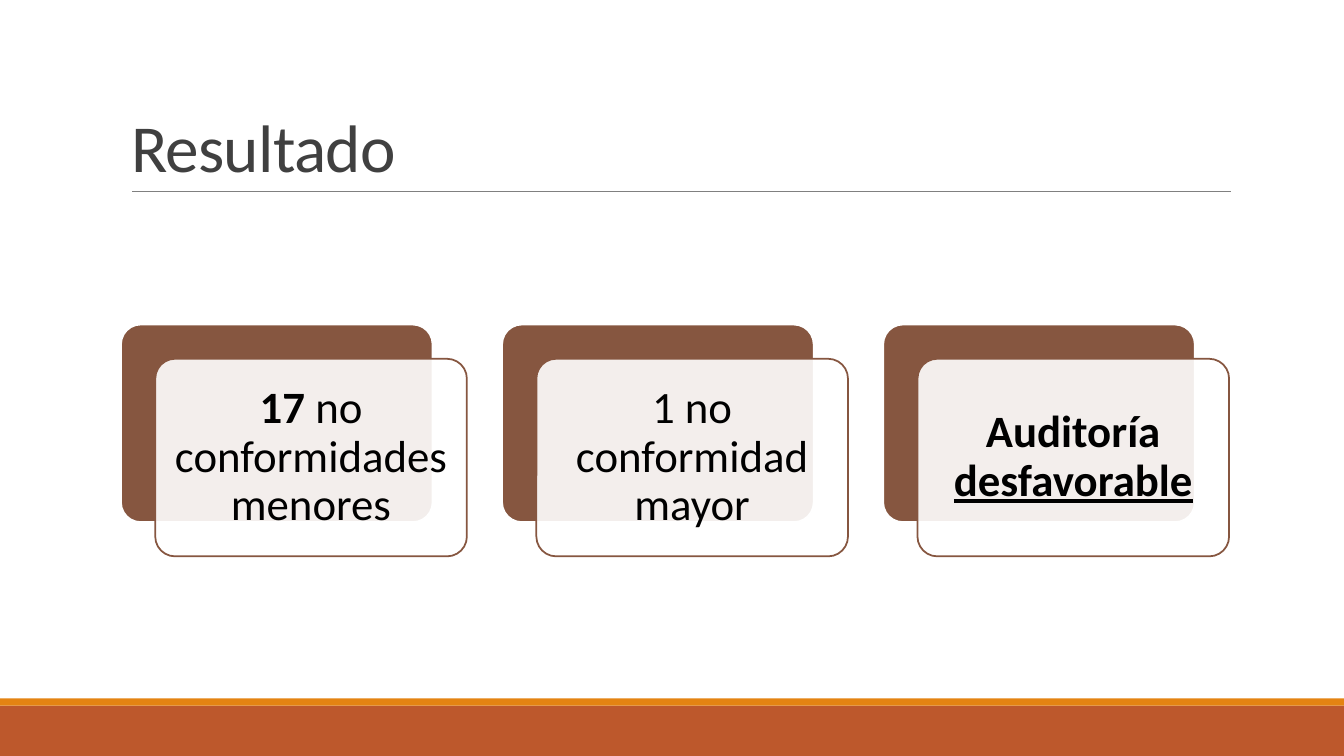
from dataclasses import dataclass
from lxml.etree import SubElement
from pptx import Presentation
from pptx.dml.color import RGBColor
from pptx.enum.shapes import MSO_CONNECTOR, MSO_SHAPE
from pptx.enum.text import MSO_ANCHOR, PP_ALIGN
from pptx.oxml.ns import qn
from pptx.util import Inches, Pt


@dataclass(frozen=True)
class Theme:
    font: str = "Calibri"
    head: int = 48
    body: int = 32
    edge: float = 1.25
    ink: str = "000000"
    gray: str = "404040"
    rule: str = "808080"
    brown: str = "865640"
    white: str = "FFFFFF"
    rust: str = "BD582C"
    gold: str = "E48312"


theme = Theme()
deck = Presentation()
deck.slide_width, deck.slide_height = Inches(13.33), Inches(7.5)
wide, high = deck.slide_width, deck.slide_height
slide = deck.slides.add_slide(deck.slide_layouts[5])


def block(kind, left, top, width, height, fill, line=None):
    shape = slide.shapes.add_shape(kind, left, top, width, height)
    shape.shadow.inherit = False
    shape.fill.solid()
    shape.fill.fore_color.rgb = RGBColor.from_string(fill)
    if line:
        shape.line.color.rgb = RGBColor.from_string(line)
        shape.line.width = Pt(theme.edge)
        shape.adjustments[0] = 0.1
    else:
        shape.line.fill.background()
    return shape


def write(para, text, size, color, bold=False, under=False):
    run = para.add_run()
    run.text = text
    font = run.font
    font.name, font.size = theme.font, Pt(size)
    font.bold, font.underline = bold, under
    font.color.rgb = RGBColor.from_string(color)
    return run


# Footer bands
base = Inches(7)
strip = Inches(0.07)
block(MSO_SHAPE.RECTANGLE, 0, base, wide, high - base, theme.rust)
block(MSO_SHAPE.RECTANGLE, 0, base - strip, wide, strip, theme.gold)

# Title and its rule
floor = Inches(1.9)
rule = slide.shapes.add_connector(
    MSO_CONNECTOR.STRAIGHT, Inches(1.31), floor, Inches(12.21), floor)
rule.line.color.rgb = RGBColor.from_string(theme.rule)
rule.line.width = Pt(0.5)
SubElement(rule._element.spPr, qn("a:effectLst"))

title = slide.shapes.title
title.left, title.top = Inches(1.2), Inches(0.31)
title.width, title.height = Inches(11), floor - title.top
title.text_frame.vertical_anchor = MSO_ANCHOR.BOTTOM
title.text_frame.word_wrap = True
para = title.text_frame.paragraphs[0]
para.alignment = PP_ALIGN.LEFT
para.line_spacing = 0.85
run = write(para, "Resultado", theme.head, theme.gray)
run.font._element.set("spc", "-50")

# Result cards: a brown back with a clear front, shifted down and right
cards = [
    [("17 ", True, False), ("no conformidades menores", False, False)],
    [("1 no conformidad mayor", False, False)],
    [("Auditoría ", True, False), ("desfavorable", True, True)],
]
left, top = Inches(1.2), Inches(3.22)
width, height = Inches(3.09), Inches(1.96)
step, shift = Inches(3.78), Inches(0.34)
for col, runs in enumerate(cards):
    x = left + col * step
    block(MSO_SHAPE.ROUNDED_RECTANGLE, x, top, width, height,
          theme.brown, theme.white)
    front = block(MSO_SHAPE.ROUNDED_RECTANGLE, x + shift, top + shift,
                  width, height, theme.white, theme.brown)
    tint = front.fill._xPr.find(qn("a:solidFill"))[0]
    SubElement(tint, qn("a:alpha"), val="90000")
    frame = front.text_frame
    frame.word_wrap = True
    frame.vertical_anchor = MSO_ANCHOR.MIDDLE
    frame.margin_left = frame.margin_right = Inches(0.13)
    frame.margin_top = frame.margin_bottom = Inches(0.13)
    para = frame.paragraphs[0]
    para.alignment = PP_ALIGN.CENTER
    para.line_spacing = 0.9
    for text, bold, under in runs:
        write(para, text, theme.body, theme.ink, bold, under)

deck.save("out.pptx")
